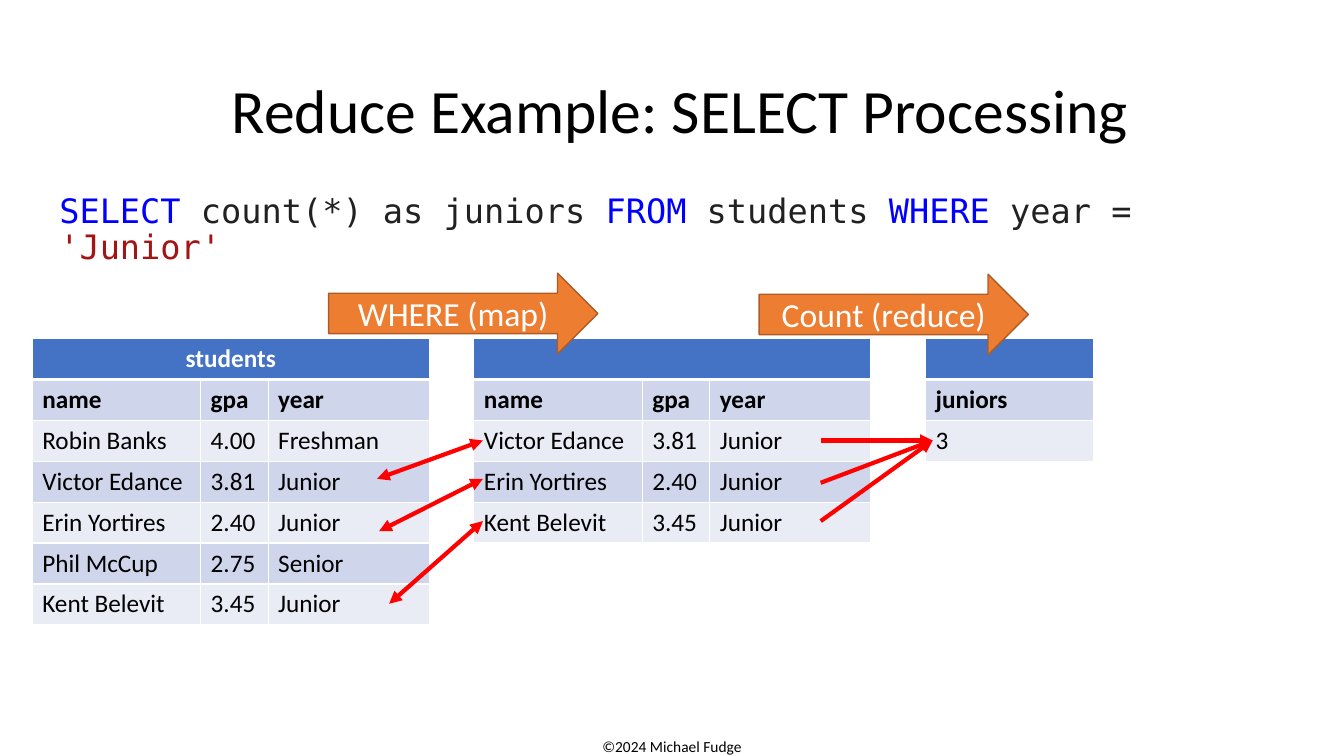
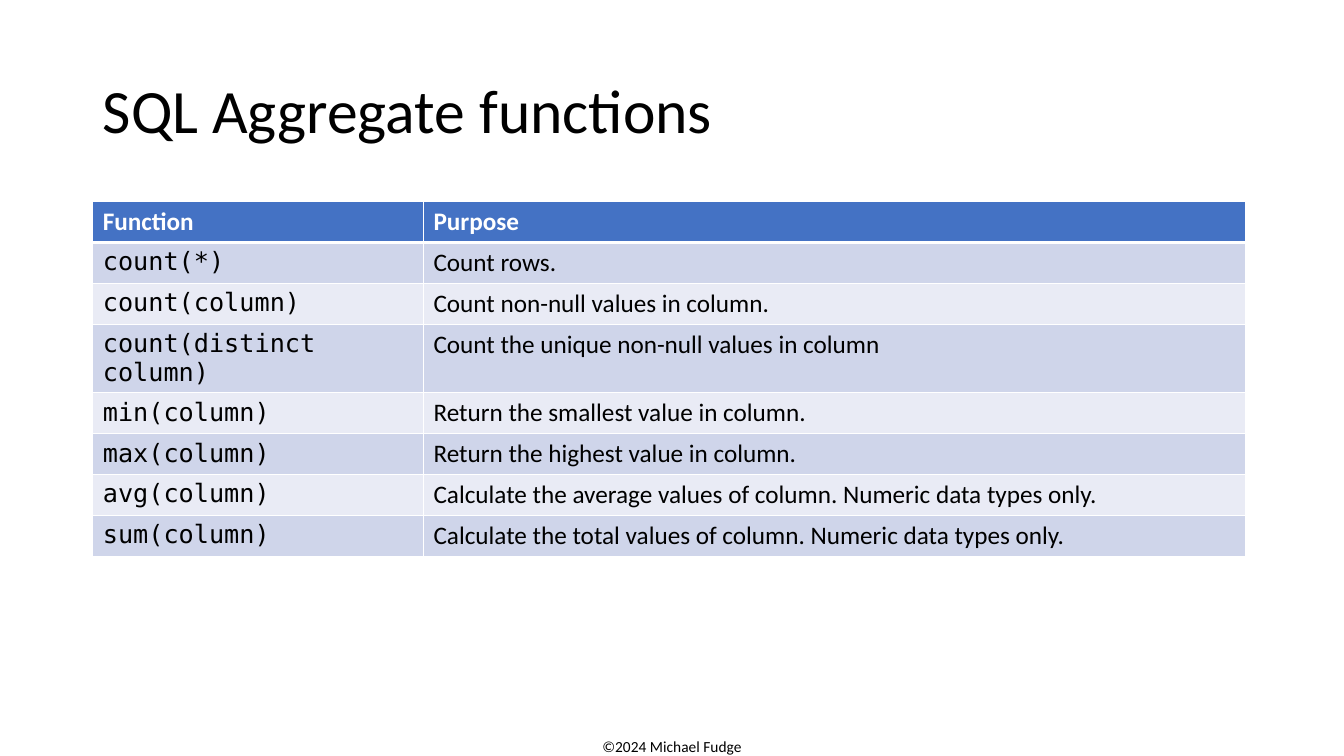
import pptx
import pptx.util
import pptx.dml.color
import pptx.enum.dml
import pptx.enum.shapes
import pptx.enum.text
import pptx.oxml
import pptx.oxml.ns
from lxml import etree

Inches, Pt = pptx.util.Inches, pptx.util.Pt
RGB = pptx.dml.color.RGBColor
ALIGN, ANCHOR = pptx.enum.text.PP_ALIGN, pptx.enum.text.MSO_ANCHOR
SHAPE, LINE = pptx.enum.shapes.MSO_SHAPE, pptx.enum.shapes.MSO_CONNECTOR
qn = pptx.oxml.ns.qn

# Shared style
SANS, MONO = "Calibri", "DejaVu Sans Mono"
BLACK, WHITE = RGB(0, 0, 0), RGB(255, 255, 255)
HEADER, BANDS = RGB(0x44, 0x72, 0xC4), (RGB(0xE9, 0xEB, 0xF5), RGB(0xCF, 0xD5, 0xEA))
ORANGE, ORANGE_EDGE = RGB(0xED, 0x7D, 0x31), RGB(0xAF, 0x5C, 0x24)
RED = RGB(255, 0, 0)
KEYWORD, CODE, STRING = RGB(0, 0, 255), RGB(0x21, 0x21, 0x21), RGB(0xA3, 0x15, 0x15)
ROW_HEIGHT = Inches(2.84) // 7

# Content
FOOTER = "©2024 Michael Fudge"
QUERY = [("SELECT", KEYWORD), (" count(*) as juniors ", CODE), ("FROM", KEYWORD),
         (" students ", CODE), ("WHERE ", KEYWORD), ("year = ", CODE), ("'Junior'", STRING)]
FIELDS = ("name", "gpa", "year")
STUDENTS = [
    ("Robin Banks", "4.00", "Freshman"),
    ("Victor Edance", "3.81", "Junior"),
    ("Erin Yortires", "2.40", "Junior"),
    ("Phil McCup", "2.75", "Senior"),
    ("Kent Belevit", "3.45", "Junior"),
]
JUNIORS = [row for row in STUDENTS if row[2] == "Junior"]
STUDENT_COLS = (1.67, 0.67, 1.6)
# left, column widths, heading, rows
STEP_TABLES = [
    (0.32, STUDENT_COLS, "students", [FIELDS] + STUDENTS),
    (4.7, STUDENT_COLS, "", [FIELDS] + JUNIORS),
    (9.18, (1.67,), "", [("juniors",), (str(len(JUNIORS)),)]),
]
STEP_ARROWS = [(3.26, 2.71, "WHERE (map)"), (7.53, 2.72, "Count (reduce)")]
MAP_LINES = [((3.74, 4.75), (4.79, 4.37)), ((3.76, 5.27), (4.79, 4.75)),
             ((3.86, 5.99), (4.79, 5.17))]
REDUCE_LINES = [((8.14, y), (9.25, 4.37)) for y in (4.37, 4.79, 5.17)]
FUNCTIONS = [
    ("Function", "Purpose"),
    ("count(*)", "Count rows."),
    ("count(column)", "Count non-null values in column."),
    ("count(distinct column)", "Count the unique non-null values in column"),
    ("min(column)", "Return the smallest value in column."),
    ("max(column)", "Return the highest value in column."),
    ("avg(column)", "Calculate the average values of column. Numeric data types only."),
    ("sum(column)", "Calculate the total values of column. Numeric data types only."),
]


def write(tf, text, size=18, font=SANS, color=BLACK, bold=False,
          align=ALIGN.LEFT, anchor=ANCHOR.TOP, spacing=None):
    """Fill a text frame with a string or with (text, colour) runs."""
    tf.word_wrap = True
    tf.vertical_anchor = anchor
    p = tf.paragraphs[0]
    p.alignment, p.line_spacing = align, spacing
    p.font.size = Pt(size)
    for part, part_color in [(text, color)] if isinstance(text, str) else text:
        r = p.add_run()
        r.text = part
        r.font.name, r.font.size, r.font.bold = font, Pt(size), bold
        r.font.color.rgb = part_color


def add_titled_slide(prs, title, left, width):
    s = prs.slides.add_slide(prs.slide_layouts[5])
    sp = s.shapes.title
    sp.left, sp.top, sp.width, sp.height = map(Inches, (left, 0.4, width, 1.45))
    sp.text_frame.auto_size = pptx.enum.text.MSO_AUTO_SIZE.NONE
    write(sp.text_frame, title, size=44, anchor=ANCHOR.MIDDLE, spacing=0.9)
    return s


def add_text(s, box, text, **fmt):
    sp = s.shapes.add_textbox(*map(Inches, box))
    write(sp.text_frame, text, **fmt)
    return sp


def style_cell(cell, row):
    """White borders, thicker under the header row, and a banded fill."""
    tc_pr = cell._tc.get_or_add_tcPr()
    widths = {"lnL": 1, "lnR": 1, "lnT": 3 if row == 1 else 1, "lnB": 3 if row == 0 else 1}
    for side, width in widths.items():
        ln = etree.SubElement(tc_pr, qn(f"a:{side}"), w=str(Pt(width)))
        fill = etree.SubElement(ln, qn("a:solidFill"))
        etree.SubElement(fill, qn("a:srgbClr"), val=str(WHITE))
    cell.fill.solid()
    cell.fill.fore_color.rgb = BANDS[row % 2] if row else HEADER


def add_grid(s, left, top, cols, rows, cell_format):
    """Add a table; cell_format(row, column) gives the text format."""
    frame = s.shapes.add_table(len(rows), len(cols), Inches(left), Inches(top),
                               Inches(sum(cols)), ROW_HEIGHT * len(rows))
    table = frame.table
    for column, width in zip(table.columns, cols):
        column.width = Inches(width)
    for i, values in enumerate(rows):
        table.rows[i].height = ROW_HEIGHT
        for j, value in enumerate(values):
            cell = table.cell(i, j)
            style_cell(cell, i)
            if value:
                write(cell.text_frame, value, **cell_format(i, j))
            else:
                cell.text_frame.paragraphs[0].font.size = Pt(18)
    return table


def add_step_arrow(s, left, top, text):
    sp = s.shapes.add_shape(SHAPE.RIGHT_ARROW, Inches(left), Inches(top),
                            Inches(2.67), Inches(0.8))
    sp.shadow.inherit = False
    sp.fill.solid()
    sp.fill.fore_color.rgb = ORANGE
    sp.line.color.rgb = ORANGE_EDGE
    sp.line.width = Pt(1)
    write(sp.text_frame, text, size=24, color=WHITE, align=ALIGN.CENTER, anchor=ANCHOR.MIDDLE)


def add_row_links(s, lines, ends):
    """Add one group of red lines with arrowheads at the given ends."""
    group = s.shapes.add_group_shape()
    for start, stop in lines:
        link = group.shapes.add_connector(LINE.STRAIGHT, *map(Inches, start + stop))
        link.line.color.rgb = RED
        link.line.width = Pt(3)
        ln = link.line._get_or_add_ln()
        for end in ends:
            etree.SubElement(ln, qn(f"a:{end}"), type="triangle")
        etree.SubElement(link.element.spPr, qn("a:effectLst"))


def step_format(row, column):
    if row == 0:
        return dict(color=WHITE, bold=True, align=ALIGN.CENTER)
    return dict(bold=row == 1)


def function_format(row, column):
    if row == 0:
        return dict(color=WHITE, bold=True)
    return dict(font=SANS if column else MONO)


def build_reduce_slide(prs):
    s = add_titled_slide(prs, "Reduce Example: SELECT Processing", 2.2, 10.22)
    add_text(s, (0.49, 1.88, 12.34, 0.5), QUERY, size=24, font=MONO, spacing=0.9)
    for left, cols, heading, rows in STEP_TABLES:
        header = (heading,) + ("",) * (len(cols) - 1)
        table = add_grid(s, left, 3.36, cols, [header] + rows, step_format)
        if len(cols) > 1:
            table.cell(0, 0).merge(table.cell(0, len(cols) - 1))
    for arrow in STEP_ARROWS:
        add_step_arrow(s, *arrow)
    add_row_links(s, MAP_LINES, ("headEnd", "tailEnd"))
    add_row_links(s, REDUCE_LINES, ("tailEnd",))
    return s


def build_functions_slide(prs):
    s = add_titled_slide(prs, "SQL Aggregate functions", 0.92, 11.5)
    add_grid(s, 0.92, 2, (3.28, 8.15), FUNCTIONS, function_format)


def add_layout_footer(s):
    """Place the footer on the layout that all slides share."""
    sp = add_text(s, (5.67, 7.26, 1.99, 0.29), FOOTER, size=11, align=ALIGN.CENTER)
    sp.element.nvSpPr.cNvPr.id = 100
    s.slide_layout.shapes.element.append(sp.element)


def main():
    prs = pptx.Presentation()
    prs.slide_width, prs.slide_height = Inches(13.33), Inches(7.5)
    s = build_reduce_slide(prs)
    build_functions_slide(prs)
    add_layout_footer(s)
    prs.save("out.pptx")


if __name__ == "__main__":
    main()
